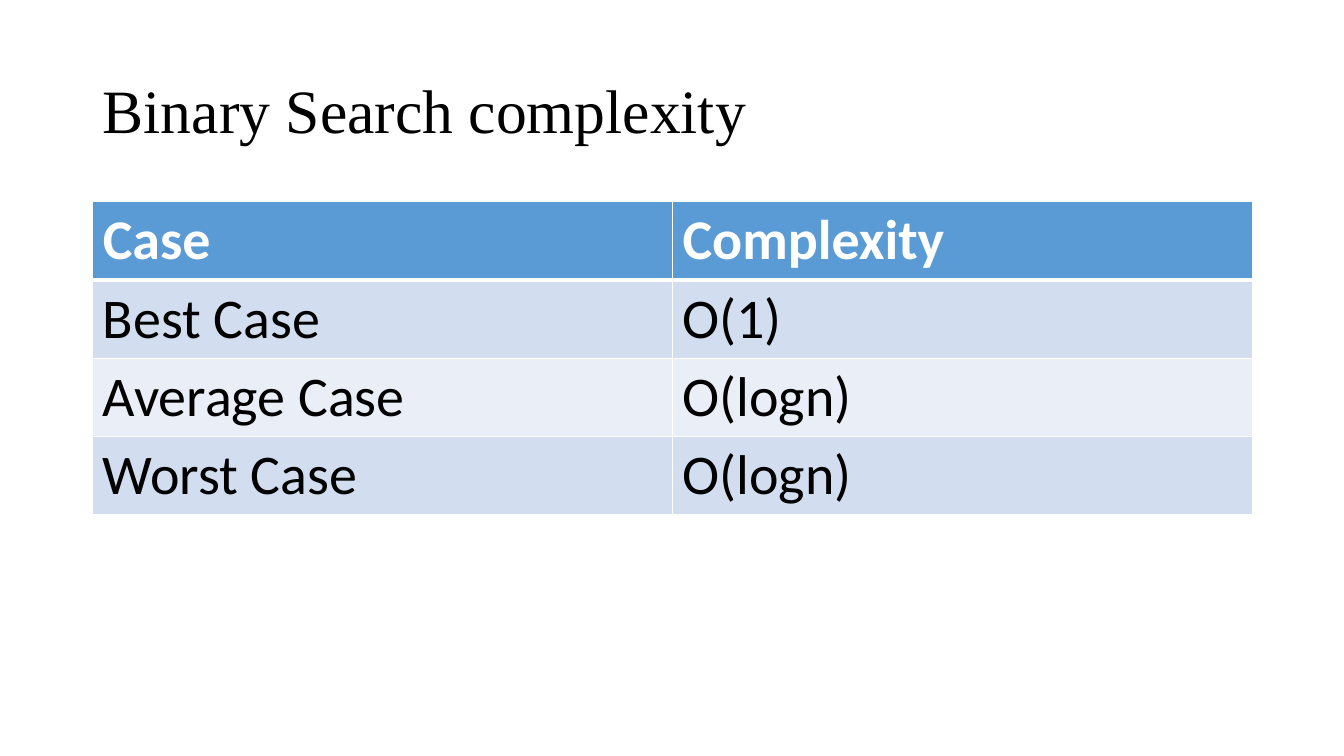
from lxml.etree import SubElement as Sub
from pptx import Presentation
from pptx.dml.color import RGBColor as Rgb
from pptx.enum.text import MSO_ANCHOR as Anchor, MSO_AUTO_SIZE as Auto, PP_ALIGN as Align
from pptx.oxml.ns import qn
from pptx.util import Inches, Pt

HUES = {
    "text": "000000",
    "white": "FFFFFF",
    "head": "5B9BD5",
    "odd": "D2DEEF",
    "even": "EAEFF7",
}
ROWS = [
    ("Case", "Complexity"),
    ("Best Case", "O(1)"),
    ("Average Case", "O(logn)"),
    ("Worst Case", "O(logn)"),
]


def write(frame, text, font="Calibri", size=40, hue="text", bold=False, space=1.0):
    para = frame.paragraphs[0]
    para.alignment = Align.LEFT
    para.line_spacing = space
    run = para.add_run()
    run.text = text
    run.font.name = font
    run.font.size = Pt(size)
    run.font.bold = bold
    run.font.color.rgb = Rgb.from_string(HUES[hue])


def edge(cell, side, width):
    """Draw a white border of the given width in points on side L, R, T or B."""
    props = cell._tc.get_or_add_tcPr()
    line = Sub(props, qn(f"a:ln{side}"), w=str(Pt(width)))
    fill = Sub(line, qn("a:solidFill"))
    Sub(fill, qn("a:srgbClr"), val=HUES["white"])


class Deck:
    """Hold the file, its current slide and the shared left edge and width."""

    def __init__(self):
        self.file = Presentation()
        self.file.slide_width = Inches(13.33)
        self.file.slide_height = Inches(7.5)
        self.left, self.width = Inches(0.92), Inches(11.5)
        self.slide = self.file.slides.add_slide(self.file.slide_layouts[5])

    def title(self, text):
        box = self.slide.shapes.title
        box.left, box.top = self.left, Inches(0.4)
        box.width, box.height = self.width, Inches(1.45)
        frame = box.text_frame
        frame.word_wrap = True
        frame.auto_size = Auto.NONE
        frame.vertical_anchor = Anchor.MIDDLE
        write(frame, text, font="Times New Roman", size=44, space=0.9)

    def table(self, rows, top, high):
        grid = self.slide.shapes.add_table(
            len(rows), len(rows[0]), self.left, Inches(top),
            self.width, Inches(high * len(rows))).table
        for r, row in enumerate(rows):
            for c, text in enumerate(row):
                self.cell(grid.cell(r, c), text, r)

    def cell(self, cell, text, row):
        head = row == 0
        for side in "LRTB":
            thick = (head and side == "B") or (row == 1 and side == "T")
            edge(cell, side, 3 if thick else 1)
        band = "head" if head else "odd" if row % 2 else "even"
        cell.fill.solid()
        cell.fill.fore_color.rgb = Rgb.from_string(HUES[band])
        write(cell.text_frame, text, hue="white" if head else "text", bold=head)


def main():
    deck = Deck()
    deck.title("Binary Search complexity")
    deck.table(ROWS, top=2, high=0.42)
    deck.file.save("out.pptx")


if __name__ == "__main__":
    main()
